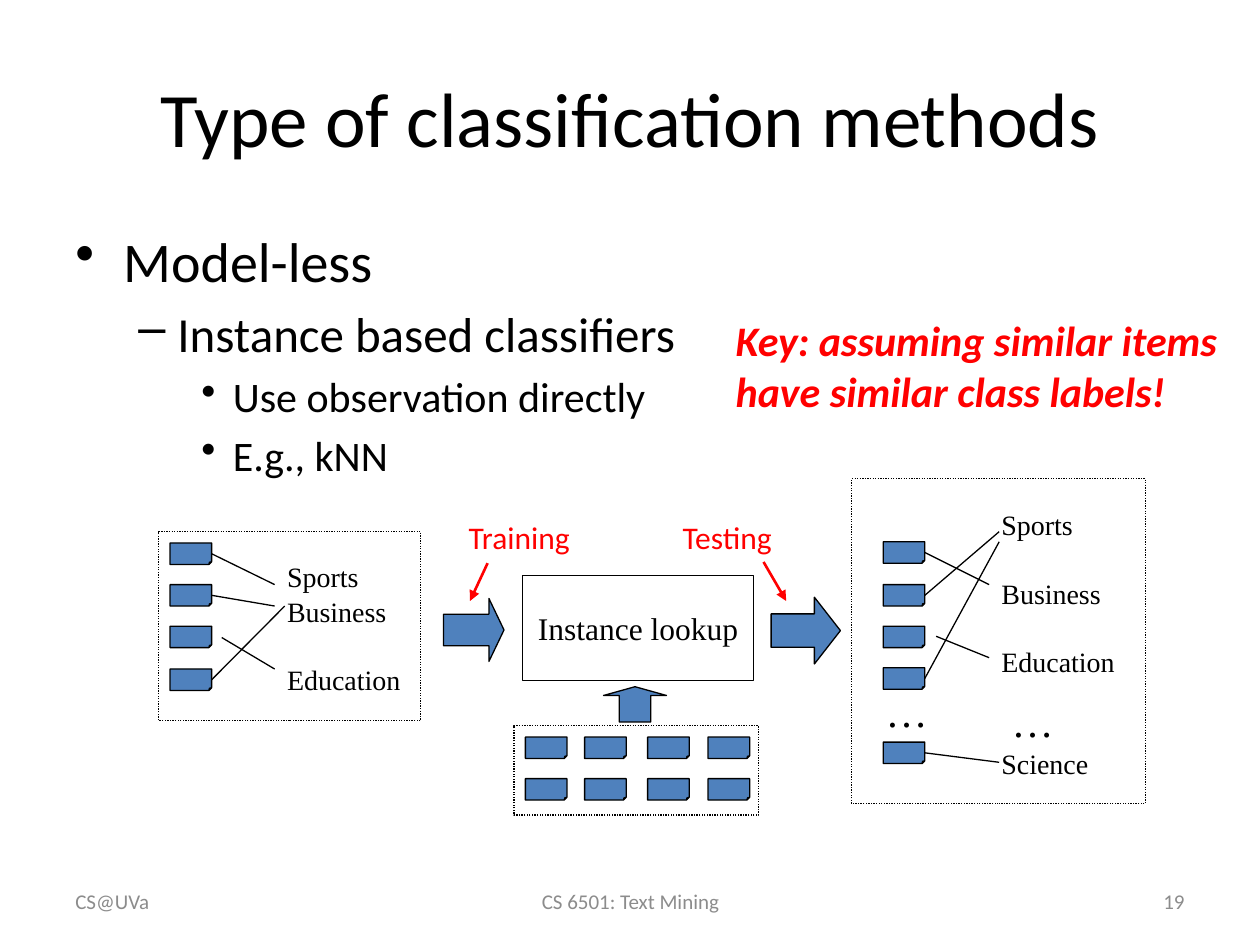
"""Build a slide on model-less, instance based classification."""
from dataclasses import dataclass
from itertools import product
from typing import Optional

from lxml import etree
from pptx import Presentation
from pptx import util as u
from pptx.enum import dml, shapes, text
from pptx.dml.color import RGBColor
from pptx.oxml.ns import qn

COLORS = {"ink": "000000", "card": "4F81BD", "accent": "FF0000", "footer": "8C8C8C"}
SANS, SERIF = "Calibri", "Times New Roman"
CARD_SIZE = (0.33, 0.17)
LABEL_PITCH, LABEL_HEIGHT = 19.2, 18.4
Area = tuple[float, float, float, float]
Point = tuple[float, float]


@dataclass
class Line:
    """A paragraph with its own size, bullet and spacing."""
    text: str
    size: float
    bullet: Optional[str] = None
    margin: float = 0
    hanging: float = 0
    before: float = 0


@dataclass
class Link:
    """A line to a label, from a card's right side or from a free point."""
    end: Point
    card: Optional[int] = None
    start: Point = (0, 0)


@dataclass
class Panel:
    """A dotted frame of labelled cards."""
    frame: Area
    card_left: float
    card_tops: list[float]
    links: list[Link]
    label_area: Area
    labels: list[tuple[str, int]]


@dataclass
class Callout:
    """A phase name and the arrow that leads from it."""
    name: str
    area: Area
    start: Point
    end: Point


OUTLINE = [
    Line("Model-less", 32, "•", 0.38, 0.38),
    Line("Instance based classifiers", 28, "–", 0.81, 0.31, 5.6),
    Line("Use observation directly", 24, "•", 1.25, 0.25, 4.8),
    Line("E.g., kNN", 24, "•", 1.25, 0.25, 4.8),
]
PANELS = [
    Panel((6.76, 3.8, 2.33, 2.58), 7.01, [4.3, 4.64, 4.97, 5.3, 5.89],
          [Link((7.85, 4.64), 0), Link((7.93, 4.22), 1), Link((7.93, 4.3), 3),
           Link((7.85, 5.22), start=(7.43, 5.05)), Link((7.93, 6.05), 4)],
          (7.85, 3.98, 1.1, 2.77),
          [("Sports", 0), ("Business", 2), ("Education", 2), ("Science", 3)]),
    Panel((1.26, 4.22, 2.08, 1.5), 1.35, [4.31, 4.64, 4.97, 5.31],
          [Link((2.18, 4.64), 0), Link((2.18, 4.81), 1), Link((2.26, 4.81), 3),
           Link((2.18, 5.31), start=(1.76, 5.06))],
          (2.18, 4.39, 1.18, 1.17),
          [("Sports", 0), ("Business", 1), ("Education", 2)]),
]
CALLOUTS = [
    Callout("Training", (3.62, 4.06, 1.79, 0.4), (3.87, 4.47), (3.73, 4.77)),
    Callout("Testing", (5.32, 4.06, 1, 0.4), (6.06, 4.46), (6.24, 4.77)),
]
FOOTERS = [
    ("CS@UVa", (0.5, 6.95, 2.33, 0.4), "LEFT"),
    ("CS 6501: Text Mining", (3.42, 6.95, 3.17, 0.4), "CENTER"),
    ("19", (7.17, 6.95, 2.33, 0.4), "RIGHT"),
]


def rgb(name: str) -> RGBColor:
    """Look up a colour."""
    return RGBColor.from_string(COLORS[name])


def inches(values: tuple) -> list:
    """Convert numbers to lengths."""
    return [u.Inches(value) for value in values]


def write(box, content, *, size: float = 18, font: str = SANS, color: str = "ink",
          align: str = "LEFT", anchor: str = "TOP", wrap: bool = True,
          bold: bool = False, italic: bool = False) -> None:
    """Fill a box with a string or a list of lines."""
    frame = box.text_frame
    frame.word_wrap = wrap
    frame.vertical_anchor = getattr(text.MSO_ANCHOR, anchor)
    lines = [Line(content, size)] if isinstance(content, str) else content
    for index, line in enumerate(lines):
        para = frame.add_paragraph() if index else frame.paragraphs[0]
        para.alignment = getattr(text.PP_ALIGN, align)
        para.space_before = u.Pt(line.before)
        if line.bullet:
            properties = para._p.get_or_add_pPr()
            properties.set("marL", str(u.Inches(line.margin)))
            properties.set("indent", str(u.Inches(-line.hanging)))
            etree.SubElement(properties, qn("a:buChar")).set("char", line.bullet)
        span = para.add_run()
        span.text = line.text
        span.font.name, span.font.size = font, u.Pt(line.size)
        span.font.bold, span.font.italic = bold, italic
        span.font.color.rgb = rgb(color)


def add_text(page, area: Area, content, **style) -> None:
    """Add a formatted text box."""
    write(page.shapes.add_textbox(*inches(area)), content, **style)


def add_shape(page, kind: str, area: Area, fill: Optional[str] = "card",
              dotted: bool = False):
    """Add an outlined preset shape."""
    shape = page.shapes.add_shape(getattr(shapes.MSO_SHAPE, kind), *inches(area))
    shape.shadow.inherit = False
    if fill:
        shape.fill.solid()
        shape.fill.fore_color.rgb = rgb(fill)
    else:
        shape.fill.background()
    shape.line.color.rgb, shape.line.width = rgb("ink"), u.Pt(0.75)
    if dotted:
        shape.line.dash_style = dml.MSO_LINE.ROUND_DOT
    return shape


def adjust(shape, **guides: float) -> None:
    """Set the named adjustment guides of a preset shape."""
    values = shape._element.spPr.find(qn("a:prstGeom")).find(qn("a:avLst"))
    values.clear()
    for name, value in guides.items():
        guide = etree.SubElement(values, qn("a:gd"))
        guide.set("name", name)
        guide.set("fmla", f"val {round(value * 100000)}")


def add_arrow(page, kind: str, area: Area, head: float, rotation: float = 0) -> None:
    """Add a block arrow with a given head length."""
    arrow = add_shape(page, kind, area)
    adjust(arrow, adj1=0.5, adj2=head)
    arrow.rotation = rotation


def add_card(page, left: float, top: float):
    """Add a document card."""
    card = add_shape(page, "FOLDED_CORNER", (left, top, *CARD_SIZE))
    adjust(card, adj=0.125)
    return card


def add_line(page, start: Point, end: Point, color: str = "ink",
             width: float = 0.75, arrow: bool = False):
    """Add a straight line, with an arrowhead if asked."""
    line = page.shapes.add_connector(shapes.MSO_CONNECTOR.STRAIGHT, *inches(start + end))
    line.line.color.rgb, line.line.width = rgb(color), u.Pt(width)
    if arrow:
        etree.SubElement(line.line._get_or_add_ln(), qn("a:tailEnd")).set("type", "triangle")
    etree.SubElement(line._element.spPr, qn("a:effectLst"))
    return line


def add_panel(page, panel: Panel) -> None:
    """Add a frame with its cards, labels and links."""
    add_shape(page, "RECTANGLE", panel.frame, fill=None, dotted=True)
    cards = [add_card(page, panel.card_left, top) for top in panel.card_tops]
    labels = [Line(name, 16, before=rows * LABEL_PITCH - LABEL_HEIGHT if rows else 0)
              for name, rows in panel.labels]
    add_text(page, panel.label_area, labels, font=SERIF, wrap=False)
    for link in panel.links:
        line = add_line(page, link.start, link.end)
        if link.card is not None:
            line.begin_connect(cards[link.card], 3)


def main() -> None:
    """Build and save the deck."""
    deck = Presentation()
    deck.slide_width, deck.slide_height = inches((10, 7.5))
    page = deck.slides.add_slide(deck.slide_layouts[6])
    add_text(page, (0.5, 0.3, 9, 1.25), "Type of classification methods",
             size=44, align="CENTER", anchor="MIDDLE")
    add_text(page, (0.5, 1.75, 9, 5.19), OUTLINE)
    for panel in PANELS:
        add_panel(page, panel)
    for left, top in ((6.93, 5.39), (7.93, 5.47)):
        add_text(page, (left, top, 0.53, 0.5), "…", size=24, font=SERIF, wrap=False)
    add_arrow(page, "RIGHT_ARROW", (6.12, 4.74, 0.55, 0.53), 0.39)
    add_arrow(page, "UP_ARROW", (3.51, 4.76, 0.5, 0.48), 0.25, rotation=90)
    add_arrow(page, "UP_ARROW", (4.79, 5.45, 0.5, 0.28), 0.25)
    for callout in CALLOUTS:
        add_text(page, callout.area, callout.name, color="accent")
        add_line(page, callout.start, callout.end, "accent", 1.5, arrow=True)
    lookup = add_shape(page, "RECTANGLE", (4.15, 4.57, 1.83, 0.83), fill=None)
    write(lookup, "Instance lookup", font=SERIF, align="CENTER", anchor="MIDDLE", wrap=False)
    add_shape(page, "RECTANGLE", (4.08, 5.76, 1.94, 0.71), fill=None, dotted=True)
    for left, top in product((4.17, 4.64, 5.14, 5.62), (5.85, 6.18)):
        add_card(page, left, top)
    add_text(page, (5.74, 2.45, 4.05, 0.91),
             "Key: assuming similar items have similar class labels!",
             size=24, color="accent", bold=True, italic=True)
    for content, area, align in FOOTERS:
        add_text(page, area, content, size=12, color="footer", align=align, anchor="MIDDLE")
    deck.save("out.pptx")


if __name__ == "__main__":
    main()
